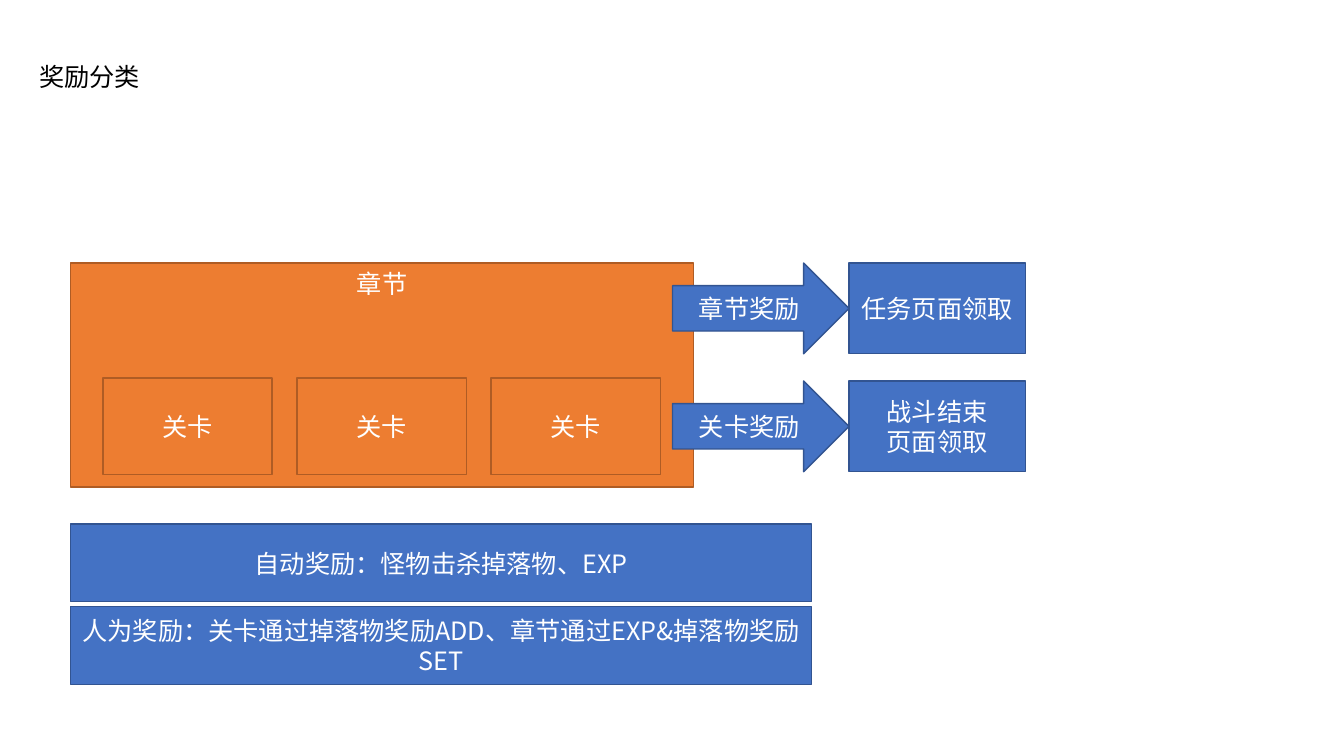
from lxml import etree
from pptx import Presentation
from pptx.dml.color import RGBColor
from pptx.enum.shapes import MSO_SHAPE
from pptx.enum.text import MSO_ANCHOR, PP_ALIGN
from pptx.oxml.ns import qn
from pptx.util import Inches, Pt

RECTANGLE, ARROW = MSO_SHAPE.RECTANGLE, MSO_SHAPE.RIGHT_ARROW
TOP, MIDDLE = MSO_ANCHOR.TOP, MSO_ANCHOR.MIDDLE
LEFT, CENTER = PP_ALIGN.LEFT, PP_ALIGN.CENTER
FONT = "Noto Sans CJK SC"
ORANGE, BLUE = ("ED7D31", "AF5C24"), ("4472C4", "325491")


def write(shape, lines, color, align=CENTER, anchor=MIDDLE):
    """Fill a shape with one paragraph per line."""
    frame = shape.text_frame
    frame.vertical_anchor = anchor
    for index, line in enumerate(lines):
        para = frame.add_paragraph() if index else frame.paragraphs[0]
        para.alignment = align
        span = para.add_run()
        span.text = line
        span.font.size = Pt(18)
        span.font.color.rgb = RGBColor.from_string(color)
        span.font.name = FONT
        east_asian = etree.SubElement(span.font._element, qn("a:ea"))
        east_asian.set("typeface", FONT)


def add_block(kind, left, top, width, height, colors, *lines, anchor=MIDDLE):
    block = page.shapes.add_shape(
        kind, Inches(left), Inches(top), Inches(width), Inches(height))
    fill, line = colors
    block.shadow.inherit = False
    block.fill.solid()
    block.fill.fore_color.rgb = RGBColor.from_string(fill)
    block.line.color.rgb = RGBColor.from_string(line)
    block.line.width = Pt(1)
    block.text_frame.word_wrap = True
    write(block, lines, "FFFFFF", anchor=anchor)


deck = Presentation()
deck.slide_width, deck.slide_height = Inches(13.33), Inches(7.5)
page = deck.slides.add_slide(deck.slide_layouts[5])

title = page.shapes.title
title.left, title.top = Inches(0.29), Inches(0.56)
title.width, title.height = Inches(1.21), Inches(0.4)
title.text_frame.word_wrap = False
write(title, ["奖励分类"], "000000", LEFT, TOP)

# Chapter with its three levels
margin, chapter_top = 0.7, 2.61
add_block(RECTANGLE, margin, chapter_top, 6.18, 2.22, ORANGE, "章节", anchor=TOP)
for column in range(3):
    add_block(RECTANGLE, 1.02 + column * 1.925, 3.75, 1.68, 0.96, ORANGE, "关卡")

# Each reward points to the page where it is claimed
rewards = [
    ("章节奖励", ["任务页面领取"]),
    ("关卡奖励", ["战斗结束", "页面领取"]),
]
arrow_left, reward_width, reward_height = 6.67, 1.75, 0.9
for row, (reward, claim) in enumerate(rewards):
    top = chapter_top + row * 1.17
    add_block(ARROW, arrow_left, top, reward_width, reward_height, BLUE, reward)
    add_block(RECTANGLE, arrow_left + reward_width, top, reward_width,
              reward_height, BLUE, *claim)

# Reward kinds
kinds = [
    "自动奖励：怪物击杀掉落物、EXP",
    "人为奖励：关卡通过掉落物奖励ADD、章节通过EXP&掉落物奖励SET",
]
for row, kind in enumerate(kinds):
    add_block(RECTANGLE, margin, 5.2 + row * 0.82, 7.35, 0.77, BLUE, kind)

deck.save("out.pptx")
